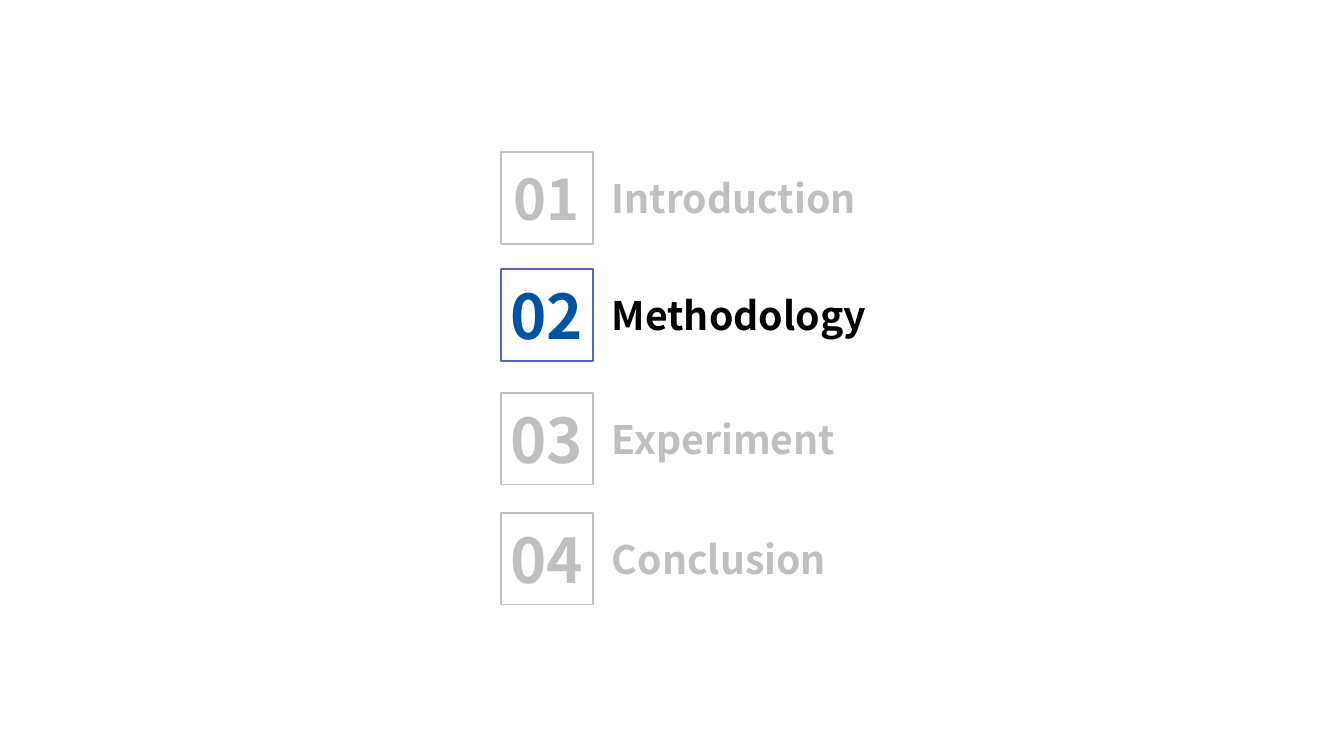
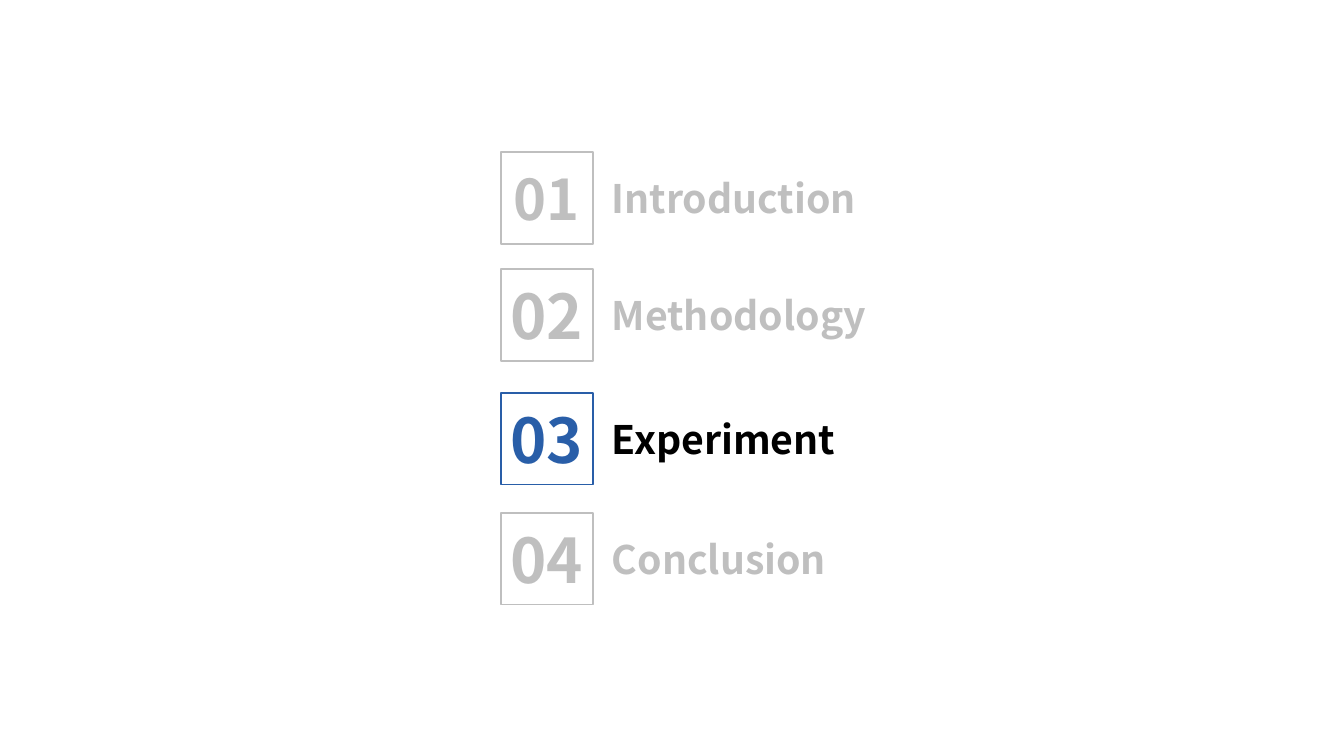
from pptx import Presentation
from pptx.dml.color import RGBColor
from pptx.enum.shapes import MSO_SHAPE
from pptx.enum.text import MSO_ANCHOR, PP_ALIGN
from pptx.util import Inches, Pt

FONT = "Noto Sans CJK SC"
GREY, BLACK = "BFBFBF", "000000"
SIDE = 0.91

# Chapter name, top of its square, size of its number
PARTS = [
    ("Introduction", 1.51, 40),
    ("Methodology", 2.67, 44),
    ("Experiment", 3.9, 44),
    ("Conclusion", 5.09, 44),
]

# Current chapter of each slide, colours of its number and its frame
VIEWS = [(2, "0053A3", "4E67C8"), (3, "295EA8", "295EA8")]


def rgb(code):
    return RGBColor.from_string(code)


class Deck:
    def __init__(self):
        self.deck = Presentation()
        self.deck.slide_width = Inches(13.33)
        self.deck.slide_height = Inches(7.5)
        self.slide = None

    def add(self):
        self.slide = self.deck.slides.add_slide(self.deck.slide_layouts[6])

    def style(self, shape, text, size, color, align):
        frame = shape.text_frame
        frame.vertical_anchor = MSO_ANCHOR.MIDDLE
        frame.margin_top = frame.margin_bottom = 0
        line = frame.paragraphs[0]
        line.text = text
        line.alignment = align
        font = line.font
        font.name, font.size, font.bold = FONT, Pt(size), True
        font.color.rgb = rgb(color)

    def square(self, top, text, size, color, edge):
        box = self.slide.shapes.add_shape(
            MSO_SHAPE.RECTANGLE, Inches(4.97), Inches(top),
            Inches(SIDE), Inches(SIDE))
        box.shadow.inherit = False
        box.fill.background()
        box.line.color.rgb = rgb(edge)
        box.line.width = Pt(1)
        box.text_frame.margin_left = box.text_frame.margin_right = 0
        self.style(box, text, size, color, PP_ALIGN.CENTER)

    def label(self, top, text, color):
        box = self.slide.shapes.add_textbox(
            Inches(5.97), Inches(top), Inches(3.9), Inches(SIDE))
        box.text_frame.word_wrap = True
        self.style(box, text, 28, color, PP_ALIGN.LEFT)

    def agenda(self, current, blue, edge):
        self.add()
        for num, (name, top, size) in enumerate(PARTS, 1):
            on = num == current
            self.square(top, f"{num:02}", size,
                        blue if on else GREY, edge if on else GREY)
            self.label(top, name, BLACK if on else GREY)


def main():
    show = Deck()
    for view in VIEWS:
        show.agenda(*view)
    show.deck.save("out.pptx")


if __name__ == "__main__":
    main()
